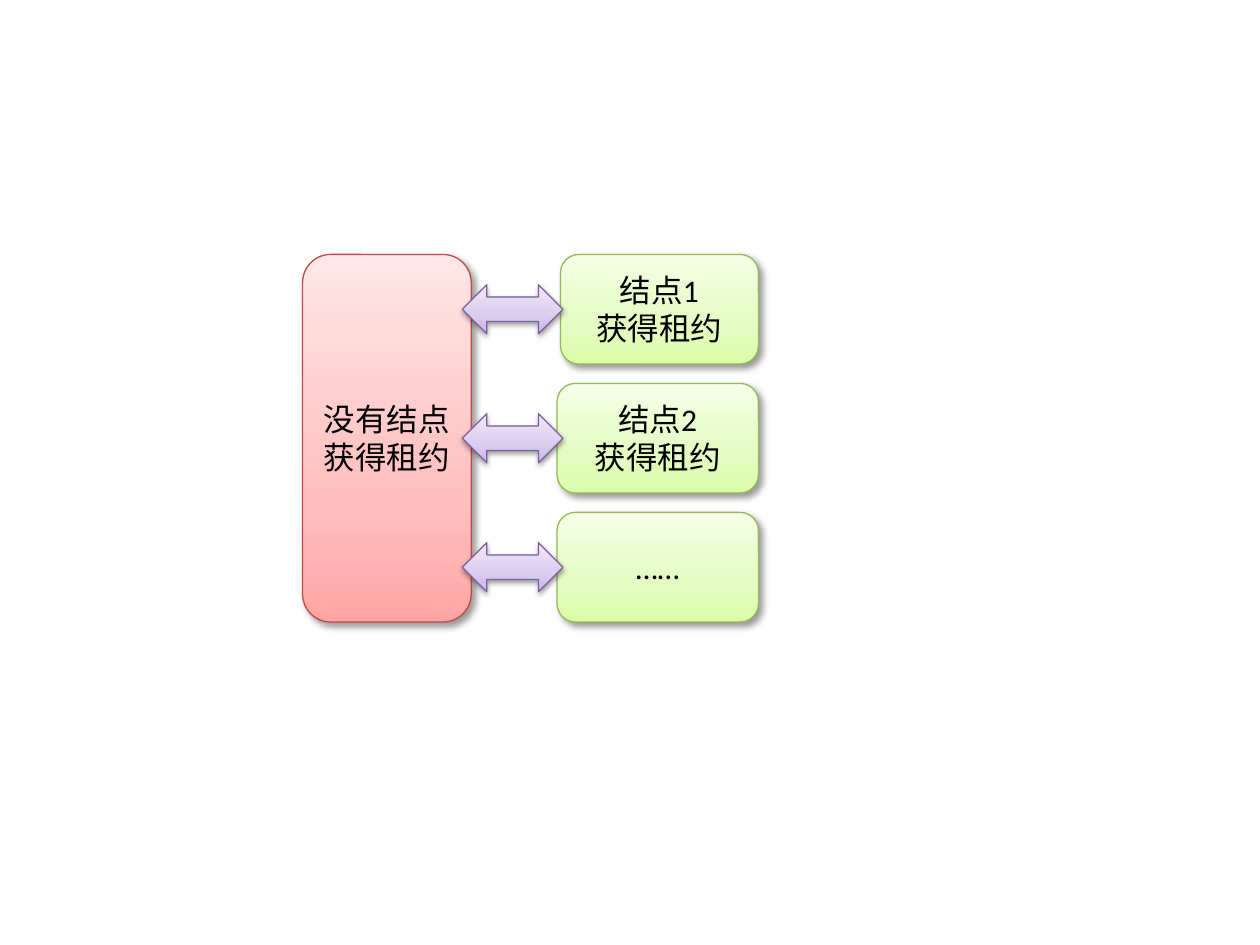
from dataclasses import dataclass

from lxml.etree import SubElement
from pptx import Presentation
from pptx.dml.color import RGBColor
from pptx.enum.shapes import MSO_SHAPE
from pptx.enum.text import MSO_ANCHOR, PP_ALIGN
from pptx.oxml.ns import qn
from pptx.util import Cm, Pt


@dataclass(frozen=True)
class Style:
    """Gradient (bottom to top), outline and shadow of a kind of shape."""
    stops: tuple[str, str, str]
    line: str
    blur: float = 4
    dist: float = 3
    angle: int = 45
    alpha: int = 40


@dataclass(frozen=True)
class Node:
    """A lease holder: its lines of text and its left edge in cm."""
    lines: tuple[str, ...]
    left: float


RED = Style(("FFA6A5", "FFC0BF", "FFE7E7"), "BF4C48")
GREEN = Style(("DAFDA7", "E4FCC2", "F5FFE7"), "98B955")
PURPLE = Style(("C9B5E8", "D8CBEE", "F0EAF9"), "7D60A0", 3.1, 1.6, 90, 38)
STOP_POSITIONS = (0, 35, 100)

NODES = (
    Node(("结点1", "获得租约"), 11.3),
    Node(("结点2", "获得租约"), 11.23),
    Node(("……",), 11.23),
)
TOP, PITCH = 5.13, 2.6
NODE_RIGHT, NODE_H = 15.29, 2.21
ARROW_W, ARROW_H = 2.03, 0.99


def color(value: str) -> RGBColor:
    """Turn a hex string into a colour."""
    return RGBColor.from_string(value)


def add_color(parent, value: str):
    """Append a colour element to an XML parent."""
    return SubElement(parent, qn("a:srgbClr"), val=value)


def apply_style(sp, style: Style) -> None:
    """Give a shape its gradient, outline and shadow."""
    sp.fill.gradient()
    sp.fill.gradient_angle = 90
    stops = sp._element.spPr.find(f".//{qn('a:gsLst')}")
    for old in list(stops):
        stops.remove(old)
    for pos, value in zip(STOP_POSITIONS, style.stops):
        add_color(SubElement(stops, qn("a:gs"), pos=str(pos * 1000)), value)
    sp.line.color.rgb = color(style.line)
    sp.line.width = Pt(0.75)
    sp.shadow.inherit = False
    effects = sp._element.spPr.find(qn("a:effectLst"))
    shadow = SubElement(
        effects, qn("a:outerShdw"), blurRad=str(Pt(style.blur)),
        dist=str(Pt(style.dist)), dir=str(style.angle * 60000), rotWithShape="0")
    SubElement(add_color(shadow, "000000"), qn("a:alpha"), val=str(style.alpha * 1000))


def add_block(s, kind: MSO_SHAPE, left: float, top: float, width: float,
              height: float, style: Style, lines: tuple[str, ...] = ()) -> None:
    """Draw a styled shape with centred lines of text; lengths in cm."""
    sp = s.shapes.add_shape(kind, Cm(left), Cm(top), Cm(width), Cm(height))
    apply_style(sp, style)
    tf = sp.text_frame
    tf.vertical_anchor = MSO_ANCHOR.MIDDLE
    tf.text = "\n".join(lines)
    for p in tf.paragraphs:
        p.alignment = PP_ALIGN.CENTER
        p.font.name = "Calibri"
        p.font.size = Pt(18)
        p.font.color.rgb = color("000000")


def main() -> None:
    """Build the slide and save it."""
    prs = Presentation()
    prs.slide_width, prs.slide_height = Cm(25.4), Cm(19.05)
    s = prs.slides.add_slide(prs.slide_layouts[6])
    column_h = PITCH * (len(NODES) - 1) + NODE_H
    add_block(s, MSO_SHAPE.ROUNDED_RECTANGLE, 6.1, TOP, 3.4, column_h, RED,
              ("没有结点", "获得租约"))
    for i, node in enumerate(NODES):
        add_block(s, MSO_SHAPE.ROUNDED_RECTANGLE, node.left, TOP + i * PITCH,
                  NODE_RIGHT - node.left, NODE_H, GREEN, node.lines)
    for i in range(len(NODES)):
        add_block(s, MSO_SHAPE.LEFT_RIGHT_ARROW, 9.32,
                  TOP + i * PITCH + (NODE_H - ARROW_H) / 2, ARROW_W, ARROW_H, PURPLE)
    prs.save("out.pptx")


main()
